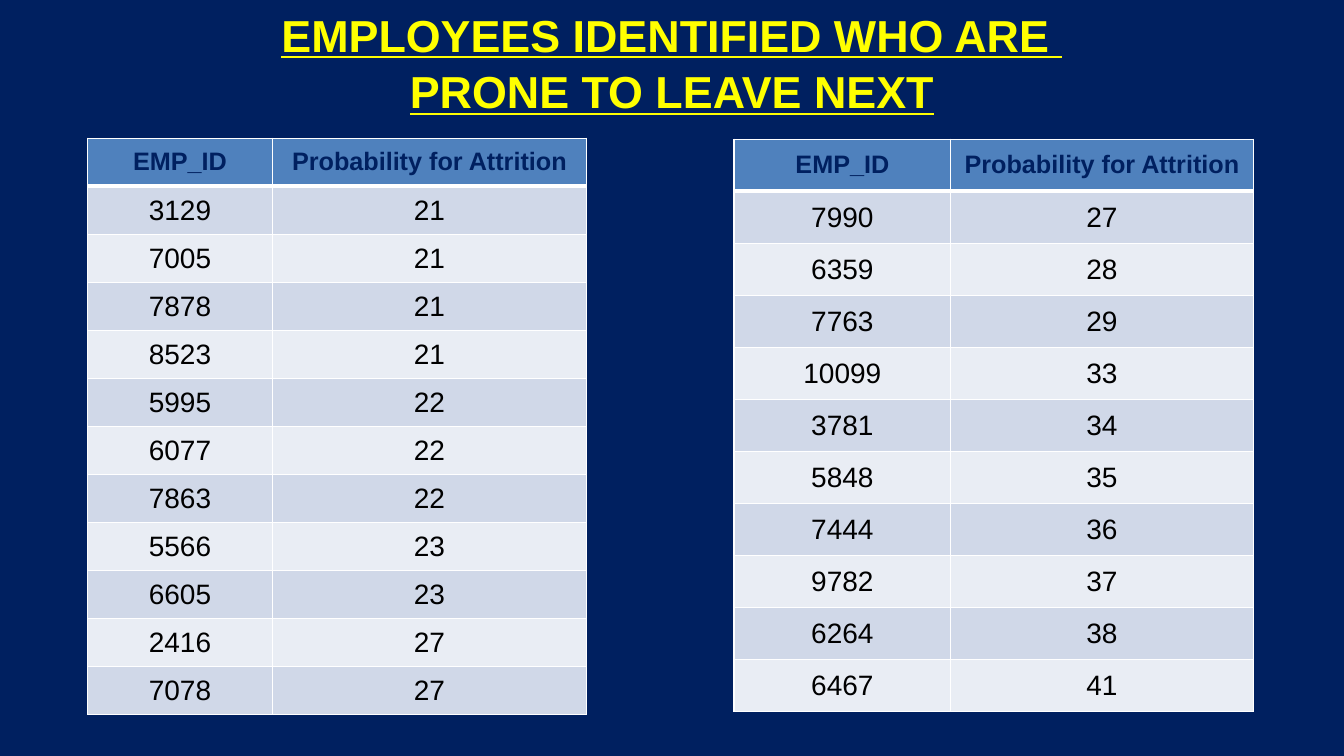
from lxml import etree
from pptx import Presentation
from pptx import util as u
from pptx.dml import color
from pptx.enum import text
from pptx.oxml import ns

FONT = "Arial"
NAVY, YELLOW, BLUE, WHITE, BLACK = "002060", "FFFF00", "4F81BD", "FFFFFF", "000000"
BANDS = ("D0D8E8", "E9EDF4")

TITLE = ("EMPLOYEES IDENTIFIED WHO ARE ", "PRONE TO LEAVE NEXT")
HEADER = ("EMP_ID", "Probability for Attrition")
TABLES = [
    {
        "left": 0.87, "top": 1.37, "columns": (1.83, 3.12), "height": 5.72,
        "employees": [(3129, 21), (7005, 21), (7878, 21), (8523, 21), (5995, 22), (6077, 22),
                      (7863, 22), (5566, 23), (6605, 23), (2416, 27), (7078, 27)],
    },
    {
        "left": 7.28, "top": 1.38, "columns": (2.15, 3), "height": 5.68,
        "employees": [(7990, 27), (6359, 28), (7763, 29), (10099, 33), (3781, 34),
                      (5848, 35), (7444, 36), (9782, 37), (6264, 38), (6467, 41)],
    },
]


def rgb(value):
    return color.RGBColor.from_string(value)


def format_paragraph(para, size, ink, bold, underline=False):
    para.alignment = text.PP_ALIGN.CENTER
    for span in para.runs:
        font = span.font
        font.name, font.size = FONT, u.Pt(size)
        font.bold, font.underline = bold, underline
        font.color.rgb = rgb(ink)


def add_border(cell, side, points):
    properties = cell._tc.get_or_add_tcPr()
    line = etree.SubElement(properties, ns.qn("a:" + side), w=str(u.Pt(points)))
    fill = etree.SubElement(line, ns.qn("a:solidFill"))
    etree.SubElement(fill, ns.qn("a:srgbClr"), val=WHITE)


def format_cell(cell, row, content):
    heading = row == 0
    for side in ("lnL", "lnR", "lnT", "lnB"):
        under_header = (row, side) in ((0, "lnB"), (1, "lnT"))
        add_border(cell, side, 3 if under_header else 1)
    cell.fill.solid()
    cell.fill.fore_color.rgb = rgb(BLUE if heading else BANDS[(row - 1) % 2])
    cell.vertical_anchor = text.MSO_ANCHOR.MIDDLE
    if not heading:
        cell.margin_left = cell.margin_right = cell.margin_top = u.Inches(0.01)
        cell.margin_bottom = 0
    cell.text_frame.text = str(content)
    para = cell.text_frame.paragraphs[0]
    format_paragraph(para, 18 if heading else 20, NAVY if heading else BLACK, heading)


def add_employee_table(page, left, top, columns, height, employees):
    rows = [HEADER] + employees
    frame = page.shapes.add_table(len(rows), len(columns), u.Inches(left), u.Inches(top),
                                  u.Inches(sum(columns)), u.Inches(height))
    table = frame.table
    for column, width in zip(table.columns, columns):
        column.width = u.Inches(width)
    for row, contents in enumerate(rows):
        for column, content in enumerate(contents):
            format_cell(table.cell(row, column), row, content)


deck = Presentation()
deck.slide_width, deck.slide_height = u.Inches(13.33), u.Inches(7.5)
page = deck.slides.add_slide(deck.slide_layouts[6])
page.background.fill.solid()
page.background.fill.fore_color.rgb = rgb(NAVY)

box = page.shapes.add_textbox(u.Inches(0.56), 0, u.Inches(12.21), u.Inches(1.18))
box.text_frame.word_wrap = True
box.text_frame.text = "\n".join(TITLE)
for para in box.text_frame.paragraphs:
    para.line_spacing = 1.05
    format_paragraph(para, 32, YELLOW, True, True)

for layout in TABLES:
    add_employee_table(page, **layout)

deck.save("out.pptx")
